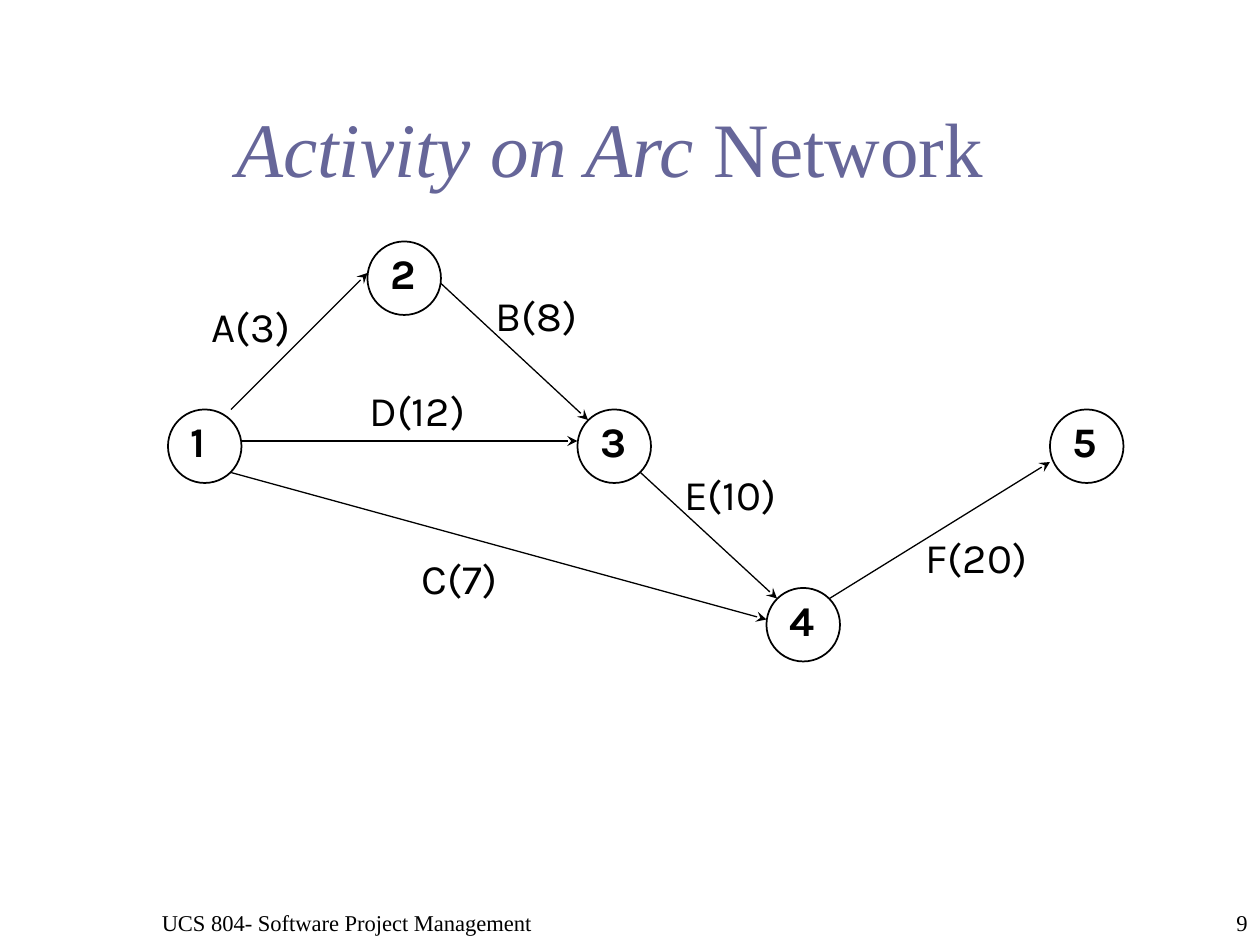
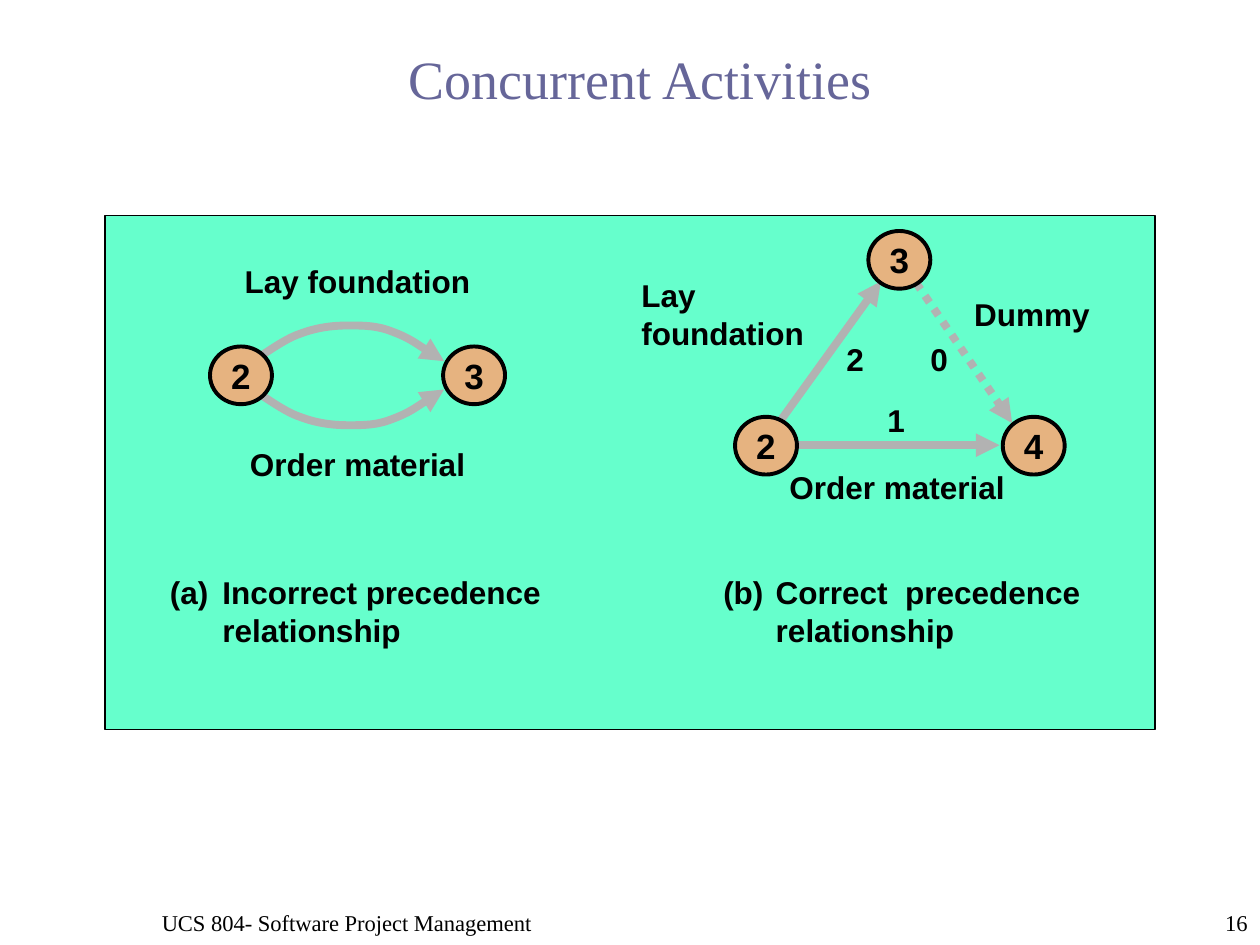
from lxml import etree
from pptx import Presentation
from pptx.dml.color import RGBColor
from pptx.enum.dml import MSO_LINE
from pptx.enum.shapes import MSO_CONNECTOR, MSO_SHAPE
from pptx.enum.text import MSO_ANCHOR, PP_ALIGN
from pptx.oxml.ns import qn
from pptx.util import Inches, Pt

STRAIGHT = MSO_CONNECTOR.STRAIGHT
OVAL, RECTANGLE = MSO_SHAPE.OVAL, MSO_SHAPE.RECTANGLE
LEFT, CENTER, RIGHT = PP_ALIGN.LEFT, PP_ALIGN.CENTER, PP_ALIGN.RIGHT
TOP, MIDDLE, BOTTOM = MSO_ANCHOR.TOP, MSO_ANCHOR.MIDDLE, MSO_ANCHOR.BOTTOM
DOTTED = MSO_LINE.ROUND_DOT

SERIF, SANS, NETWORK_FONT = "Times New Roman", "Arial", "Karla"
BLACK, TITLE_COLOUR = "000000", "666699"
PANEL_COLOUR, NODE_COLOUR, ARROW_COLOUR = "66FFCC", "E6B380", "B2B2B2"
COLUMNS, ROWS = 120, 90
CELL = Inches(10) / COLUMNS


def cells(*counts):
    """Turn grid columns and rows into lengths."""
    return [round(CELL * count) for count in counts]


def write(shape, paragraphs, font, size, colour=BLACK, bold=False,
          align=LEFT, anchor=TOP, wrap=True):
    """Fill a shape with paragraphs, each a list of (text, italic) runs."""
    frame = shape.text_frame
    frame.word_wrap = wrap
    frame.vertical_anchor = anchor
    for index, runs in enumerate(paragraphs):
        paragraph = frame.add_paragraph() if index else frame.paragraphs[0]
        paragraph.alignment = align
        for text, italic in runs:
            run = paragraph.add_run()
            run.text = text
            run.font.name = font
            run.font.size = Pt(size)
            run.font.bold = bold
            run.font.italic = italic
            run.font.color.rgb = RGBColor.from_string(colour)
    return frame.paragraphs[0]


deck = Presentation()
deck.slide_width, deck.slide_height = cells(COLUMNS, ROWS)
network, concurrent = [deck.slides.add_slide(deck.slide_layouts[6]) for _ in range(2)]

# Footers
for slide, number in ((network, "9"), (concurrent, "16")):
    for box, text, align in (
            ((107, 86, 13, 4), number, RIGHT),
            ((0, 86, 66, 4), "UCS 804- Software Project Management", CENTER)):
        footer = slide.shapes.add_textbox(*cells(*box))
        write(footer, [[(text, False)]], SERIF, 12.9, align=align)

# Titles
title = network.shapes.add_textbox(*cells(8, 4, 102, 15))
write(title, [[("Activity on Arc", True), (" Network ", False)]], SERIF, 44,
      TITLE_COLOUR, align=CENTER, anchor=BOTTOM)
title = concurrent.shapes.add_textbox(*cells(6, 4, 110, 8))
heading = write(title, [[("Concurrent Activities", False)]], SERIF, 30.8,
                TITLE_COLOUR, align=CENTER, anchor=MIDDLE)
heading.line_spacing = 0.8

# Activity on arc: events, activities and durations
event_size = 7
captions = []
for event, column, row in (("1", 16, 39), ("3", 55, 39), ("2", 35, 23),
                           ("4", 73, 56), ("5", 100, 39)):
    circle = network.shapes.add_shape(OVAL, *cells(column, row, event_size, event_size))
    circle.shadow.inherit = False
    circle.fill.background()
    circle.line.color.rgb = RGBColor.from_string(BLACK)
    circle.line.width = Pt(1)
    captions.append((event, column + 1, row, event_size, True))

captions += [("A(3)", 19, 28, 11, False), ("D(12)", 34, 36, 13, False),
             ("B(8)", 46, 27, 11, False), ("E(10)", 64, 44, 14, False),
             ("C(7)", 39, 52, 11, False), ("F(20)", 87, 50, 14, False)]

arrows = []
for ends in ((22, 39, 35, 26), (23, 42, 55, 42), (42, 27, 56, 40),
             (61, 45, 74, 57), (22, 45, 73, 59), (79, 57, 100, 44)):
    activity = network.shapes.add_connector(STRAIGHT, *cells(*ends))
    arrows.append((activity, BLACK, 0.75, "stealth", None))

for text, column, row, width, bold in captions:
    caption = network.shapes.add_textbox(*cells(column, row, width, 6))
    line = write(caption, [[(text, False)]], NETWORK_FONT, 24, bold=bold)
    line.space_before = Pt(15)

# Concurrent activities: panel
panel = concurrent.shapes.add_shape(RECTANGLE, *cells(10, 20.5, 100, 49))
panel.shadow.inherit = False
panel.fill.solid()
panel.fill.fore_color.rgb = RGBColor.from_string(PANEL_COLOUR)
panel.line.color.rgb = RGBColor.from_string(BLACK)
panel.line.width = Pt(0.75)

# Two curved activities, mirrored about the line through both events
mirror_row = 35.75
arc = [(24, 34.4), (24.84, 34), (27, 32.3), (28.56, 31.8), (30.1, 31.2),
       (31.7, 31), (33.1, 31), (34.7, 31), (35.9, 31), (37.4, 31.6),
       (39, 32.2), (41.3, 33.8), (42.3, 34.4)]
for side in (1, -1):
    points = [cells(x, mirror_row + side * (y - mirror_row)) for x, y in arc]
    builder = concurrent.shapes.build_freeform(*points[0])
    builder.add_line_segments(points[1:], close=False)
    curve = builder.convert_to_shape()
    curve.fill.background()
    # Every three points become one Bezier segment
    steps = list(curve.element.iter(qn("a:lnTo")))
    for first in range(0, len(steps), 3):
        bezier = etree.Element(qn("a:cubicBezTo"))
        steps[first].addprevious(bezier)
        for step in steps[first:first + 3]:
            bezier.append(step[0])
            step.getparent().remove(step)
    arrows.append((curve, ARROW_COLOUR, 4.5, "triangle", None))

for ends, dash in (((73.3, 41.5, 83.9, 26.8), None),
                   ((86.4, 25.7, 96.4, 40.3), DOTTED),
                   ((74, 42.4, 95.2, 42.4), None)):
    activity = concurrent.shapes.add_connector(STRAIGHT, *cells(*ends))
    arrows.append((activity, ARROW_COLOUR, 4.5, "triangle", dash))

for event, column, row in (("2", 20, 33), ("3", 42.2, 33), ("3", 82.7, 22),
                           ("4", 95.5, 39.7), ("2", 70, 39.7)):
    node = concurrent.shapes.add_shape(OVAL, *cells(column, row, 5.9, 5.5))
    node.shadow.inherit = False
    node.fill.solid()
    node.fill.fore_color.rgb = RGBColor.from_string(NODE_COLOUR)
    node.line.color.rgb = RGBColor.from_string(BLACK)
    node.line.width = Pt(2.25)
    write(node, [[(event, False)]], SANS, 20, bold=True, align=CENTER,
          anchor=MIDDLE, wrap=False)

for lines, column, row, width, align in (
        (["Lay foundation"], 22.1, 24.4, 23.9, CENTER),
        (["Order material"], 22.6, 41.8, 22.9, CENTER),
        (["Dummy"], 91.6, 27.5, 13.4, LEFT),
        (["Lay", "foundation"], 59.9, 25.7, 17.9, LEFT),
        (["Order material"], 74, 44, 22.9, LEFT),
        (["1"], 83.3, 37.6, 4.1, CENTER),
        (["2"], 79.4, 31.8, 4.1, CENTER),
        (["0"], 87.4, 31.8, 4.1, CENTER)):
    label = concurrent.shapes.add_textbox(
        *cells(column, row, width, 1.2 + 3.6 * len(lines)))
    write(label, [[(text, False)] for text in lines], SANS, 18, bold=True,
          align=align, wrap=False)

hanging_indent, = cells(5)
for text, column, width in (("(a)\tIncorrect precedence relationship", 15, 38.2),
                            ("(b)\tCorrect  precedence relationship", 67.7, 36.6)):
    verdict = concurrent.shapes.add_textbox(*cells(column, 54, width, 8.4))
    line = write(verdict, [[(text, False)]], SANS, 18, bold=True)
    properties = line._p.get_or_add_pPr()
    properties.set("marL", str(hanging_indent))
    properties.set("indent", str(-hanging_indent))

# Arrow styles on both slides
for arrow, colour, width, head, dash in arrows:
    arrow.line.color.rgb = RGBColor.from_string(colour)
    arrow.line.width = Pt(width)
    if dash:
        arrow.line.dash_style = dash
    outline = arrow.element.spPr
    etree.SubElement(outline.find(qn("a:ln")), qn("a:tailEnd"), type=head)
    etree.SubElement(outline, qn("a:effectLst"))

deck.save("out.pptx")
